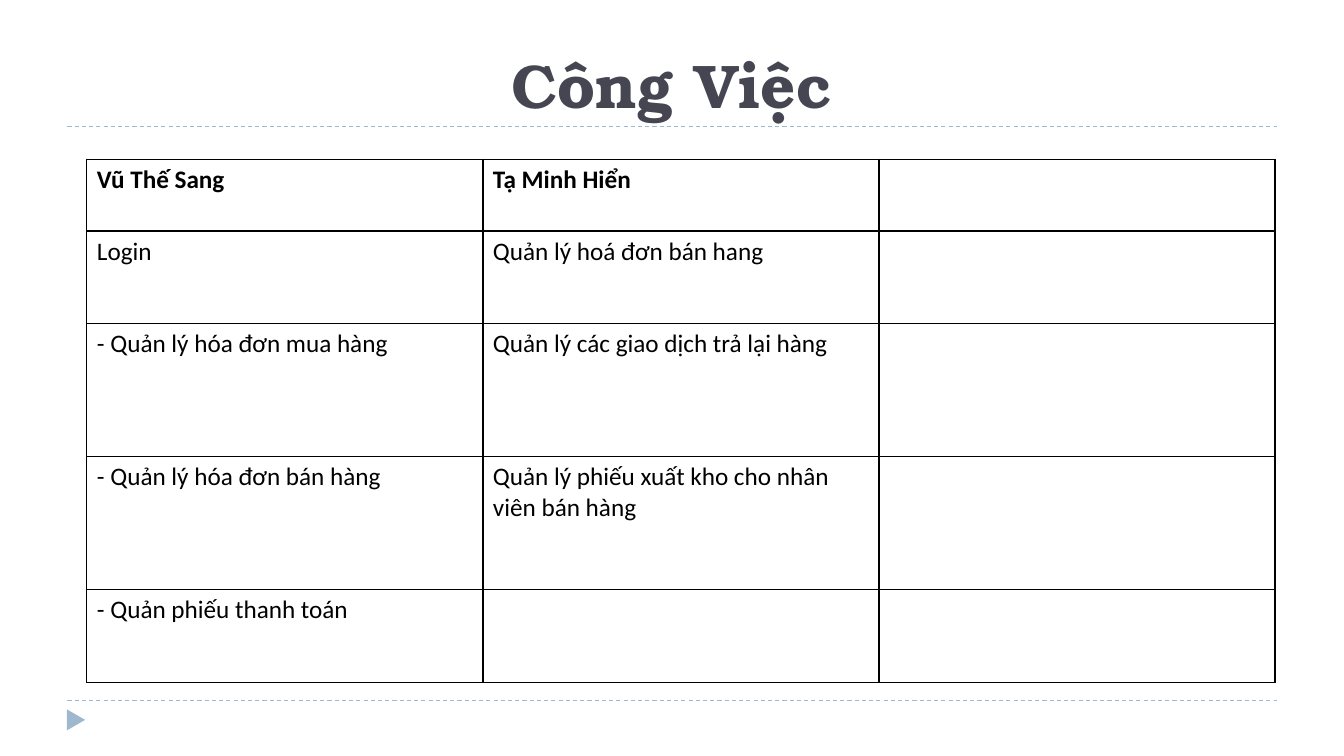
from lxml.etree import SubElement as Sub
from pptx import Presentation
from pptx.dml.color import RGBColor
from pptx.enum.dml import MSO_LINE as Dash
from pptx.enum.shapes import MSO_CONNECTOR as Conn, MSO_SHAPE as Shape
from pptx.enum.text import MSO_ANCHOR as Anchor, MSO_AUTO_SIZE as Fit, PP_ALIGN as Align
from pptx.oxml.ns import qn
from pptx.util import Cm, Pt

BLUE, INK, BLACK = "9FB8CD", "464653", "000000"
LEFT, WIDTH = 1.7, 30.48
COL = 9.98
ROWS = [1.81, 2.34, 3.35, 3.35, 2.34]
TASKS = [
    ["Vũ Thế Sang", "Tạ Minh Hiển", ""],
    ["Login", "Quản lý hoá đơn bán hang", ""],
    ["- Quản lý hóa đơn mua hàng", "Quản lý các giao dịch trả lại hàng", ""],
    ["- Quản lý hóa đơn bán hàng", "Quản lý phiếu xuất kho cho nhân viên bán hàng", ""],
    ["- Quản phiếu thanh toán", "", ""],
]


def paint(color, value):
    """Set a colour format from a hex string."""
    color.rgb = RGBColor.from_string(value)


def write(para, text, font, size, value, bold):
    """Add one formatted run to a paragraph."""
    run = para.add_run()
    run.text = text
    run.font.name, run.font.size, run.font.bold = font, Pt(size), bold
    paint(run.font.color, value)


def head(slide, text):
    """Place and fill the title placeholder."""
    title = slide.shapes.title
    title.left, title.top = Cm(LEFT), Cm(0.43)
    title.width, title.height = Cm(WIDTH), Cm(2.75)
    frame = title.text_frame
    frame.auto_size = Fit.NONE
    frame.vertical_anchor = Anchor.BOTTOM
    para = frame.paragraphs[0]
    para.alignment = Align.CENTER
    write(para, text, "TeX Gyre Bonum", 44, INK, True)


def rule(slide, top):
    """Draw a dashed line across the slide."""
    line = slide.shapes.add_connector(
        Conn.STRAIGHT, Cm(LEFT), Cm(top), Cm(LEFT + WIDTH), Cm(top))
    paint(line.line.color, BLUE)
    line.line.width = Pt(0.75)
    line.line.dash_style = Dash.DASH
    Sub(line._element.spPr, qn("a:effectLst"))


def mark(slide):
    """Draw the small triangle that points right in the footer."""
    shape = slide.shapes.add_shape(
        Shape.ISOSCELES_TRIANGLE, Cm(1.65), Cm(17.91), Cm(0.53), Cm(0.46))
    shape.rotation = 90
    shape.shadow.inherit = False
    shape.fill.solid()
    paint(shape.fill.fore_color, BLUE)
    shape.line.fill.background()


def frame(cell):
    """Give a cell thin black borders and no fill."""
    props = cell._tc.get_or_add_tcPr()
    for side in "LRTB":
        edge = Sub(props, qn(f"a:ln{side}"), w=str(Pt(1)))
        Sub(Sub(edge, qn("a:solidFill")), qn("a:srgbClr"), val=BLACK)
    cell.fill.background()


def grid(slide):
    """Build the table of tasks."""
    count = len(TASKS[0])
    table = slide.shapes.add_table(
        len(ROWS), count, Cm(2.19), Cm(4.01), Cm(COL * count), Cm(sum(ROWS))).table
    table.first_row = table.horz_banding = False
    for col in table.columns:
        col.width = Cm(COL)
    for r, (row, texts) in enumerate(zip(table.rows, TASKS)):
        row.height = Cm(ROWS[r])
        for cell, text in zip(row.cells, texts):
            frame(cell)
            if text:
                write(cell.text_frame.paragraphs[0], text, "Calibri", 18, BLACK, r == 0)


def main():
    """Build and save the slide."""
    deck = Presentation()
    deck.slide_width, deck.slide_height = Cm(33.87), Cm(19.05)
    slide = deck.slides.add_slide(deck.slide_layouts[5])
    for top in (17.65, 3.18):
        rule(slide, top)
    mark(slide)
    head(slide, "Công Việc")
    grid(slide)
    deck.save("out.pptx")


if __name__ == "__main__":
    main()
